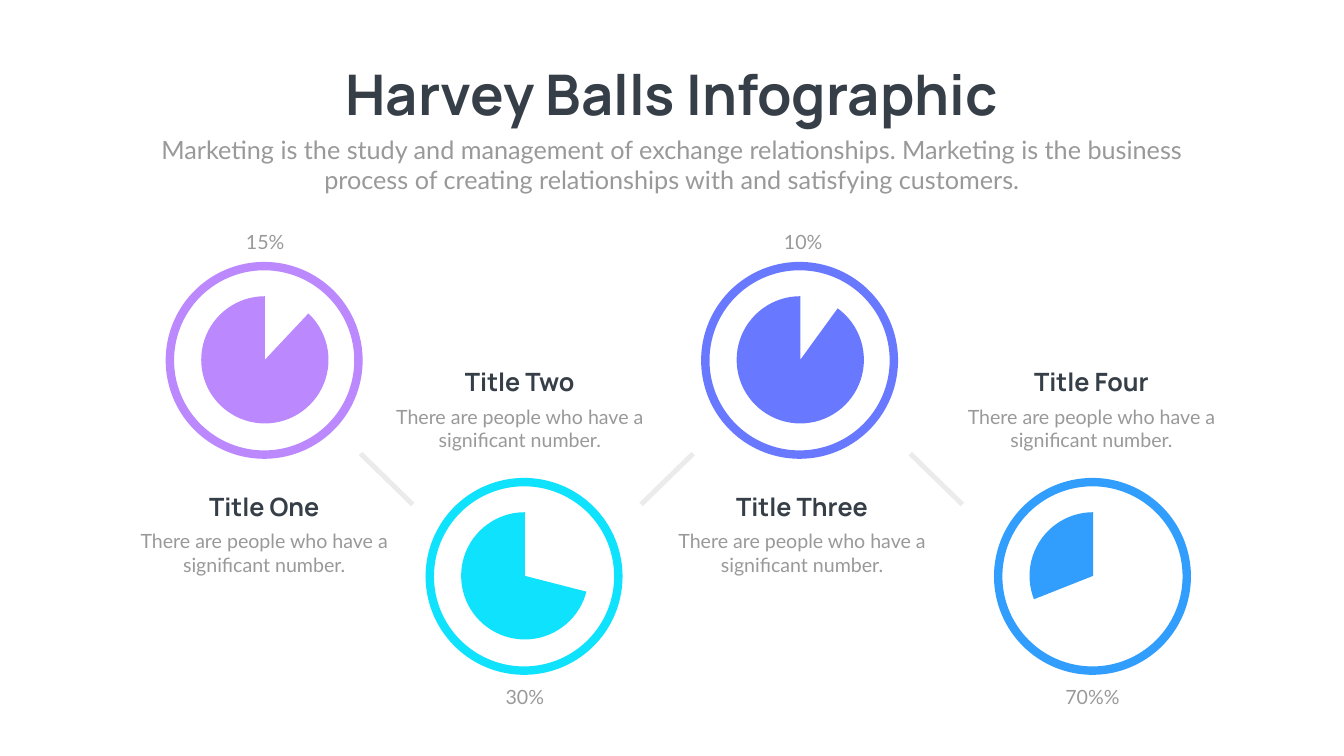
from pptx import Presentation
from pptx.chart.data import CategoryChartData
from pptx.dml.color import RGBColor
from pptx.enum.chart import XL_CHART_TYPE
from pptx.enum.shapes import MSO_CONNECTOR, MSO_SHAPE
from pptx.enum.text import MSO_ANCHOR, MSO_AUTO_SIZE, PP_ALIGN
from pptx.oxml import parse_xml
from pptx.oxml.ns import nsdecls, qn
from pptx.util import Pt

DARK = RGBColor(0x36, 0x3E, 0x48)
GRAY = RGBColor(0x99, 0x99, 0x99)
PALE = RGBColor(0xEB, 0xEB, 0xEB)
WHITE = RGBColor(0xFF, 0xFF, 0xFF)
PURPLE = RGBColor(0xBB, 0x88, 0xFE)
CYAN = RGBColor(0x0F, 0xE2, 0xFC)
INDIGO = RGBColor(0x69, 0x79, 0xFF)
BLUE = RGBColor(0x31, 0x9E, 0xFD)

RING = 269.3
PIE_W, PIE_H = 206.6, 203
PIE_LAYOUT = (
    f'<c:layout {nsdecls("c")}><c:manualLayout><c:layoutTarget val="inner"/>'
    '<c:xMode val="edge"/><c:yMode val="edge"/><c:x val="0.06"/><c:y val="0.05"/>'
    '<c:w val="0.88"/><c:h val="0.9"/></c:manualLayout></c:layout>'
)

prs = Presentation()
prs.slide_width, prs.slide_height = Pt(1919.5), Pt(1080)
slide = prs.slides.add_slide(prs.slide_layouts[0])
shapes = slide.shapes


def write(text, cx, top, width, height, sp=None, size=28, font="Lato", color=GRAY, bold=False):
    left = cx - width / 2
    if sp is None:
        sp = shapes.add_textbox(0, 0, 0, 0)
    sp.left, sp.top, sp.width, sp.height = Pt(left), Pt(top), Pt(width), Pt(height)
    tf = sp.text_frame
    tf.word_wrap = True
    tf.auto_size = MSO_AUTO_SIZE.NONE
    tf.vertical_anchor = MSO_ANCHOR.TOP
    p = tf.paragraphs[0]
    p.alignment = PP_ALIGN.CENTER
    p.space_before = Pt(0)
    r = p.add_run()
    r.text = text
    r.font.size, r.font.name, r.font.bold = Pt(size), font, bold
    r.font.color.rgb = color


write("Harvey Balls Infographic", 959.5, 82, 1216, 104.5, sp=shapes.title,
      size=80, font="Manrope", color=DARK, bold=True)
write("Marketing is the study and management of exchange relationships. Marketing is the "
      "business process of creating relationships with and satisfying customers.",
      959.5, 188, 1499, 94.5, sp=slide.placeholders[1], size=36)

balls = [
    ("Title One", "15%", 12, PURPLE, True, 377.3, 377.3, 378.7),
    ("Title Two", "30%", 29, CYAN, False, 748.5, 742.3, 749.5),
    ("Title Three", "10%", 10, INDIGO, True, 1142, 1145.5, 1147),
    ("Title Four", "70%%", 69, BLUE, False, 1560.3, 1558.8, 1560.2),
]

for title, percent, gap, color, upper, ball_x, text_x, percent_x in balls:
    ball_y, title_y, percent_y = (514.8, 697.7, 324.7) if upper else (823.4, 519.8, 975.6)

    sp = shapes.add_shape(MSO_SHAPE.OVAL, Pt(ball_x - RING / 2), Pt(ball_y - RING / 2),
                          Pt(RING), Pt(RING))
    sp.shadow.inherit = False
    sp.fill.solid()
    sp.fill.fore_color.rgb = WHITE
    sp.line.color.rgb = color
    sp.line.width = Pt(12)

    data = CategoryChartData()
    data.categories = ["1", "2"]
    data.add_series("Series 1", (gap, 100 - gap))
    chart = shapes.add_chart(XL_CHART_TYPE.PIE, Pt(ball_x + 1 - PIE_W / 2),
                             Pt(ball_y - 0.7 - PIE_H / 2), Pt(PIE_W), Pt(PIE_H), data).chart
    chart.has_legend = chart.has_title = False
    chart.font.size, chart.font.name = Pt(18), "Calibri"
    chart.font.color.rgb = GRAY
    plot_area = chart.element.find(".//" + qn("c:plotArea"))
    for layout in plot_area.findall(qn("c:layout")):
        plot_area.remove(layout)
    plot_area.insert(0, parse_xml(PIE_LAYOUT))
    chart.plots[0].vary_by_categories = False
    points = chart.plots[0].series[0].points
    points[0].format.fill.background()
    points[1].format.fill.solid()
    points[1].format.fill.fore_color.rgb = color
    for i in range(2):
        points[i].format.line.fill.background()

    write(title, text_x, title_y, 394.6, 51, size=36, font="Manrope", color=DARK, bold=True)
    write("There are people who have a significant number.", text_x, title_y + 54.7, 394.6, 75)
    write(percent, percent_x, percent_y, 108, 41)

for x1, x2 in [(515, 589.5), (990, 915.5), (1300, 1374.5)]:
    line = shapes.add_connector(MSO_CONNECTOR.STRAIGHT, Pt(x1), Pt(648), Pt(x2), Pt(720.7))
    line.line.color.rgb = PALE
    line.line.width = Pt(7)
    line.element.spPr.append(parse_xml(f'<a:effectLst {nsdecls("a")}/>'))

prs.save("out.pptx")
